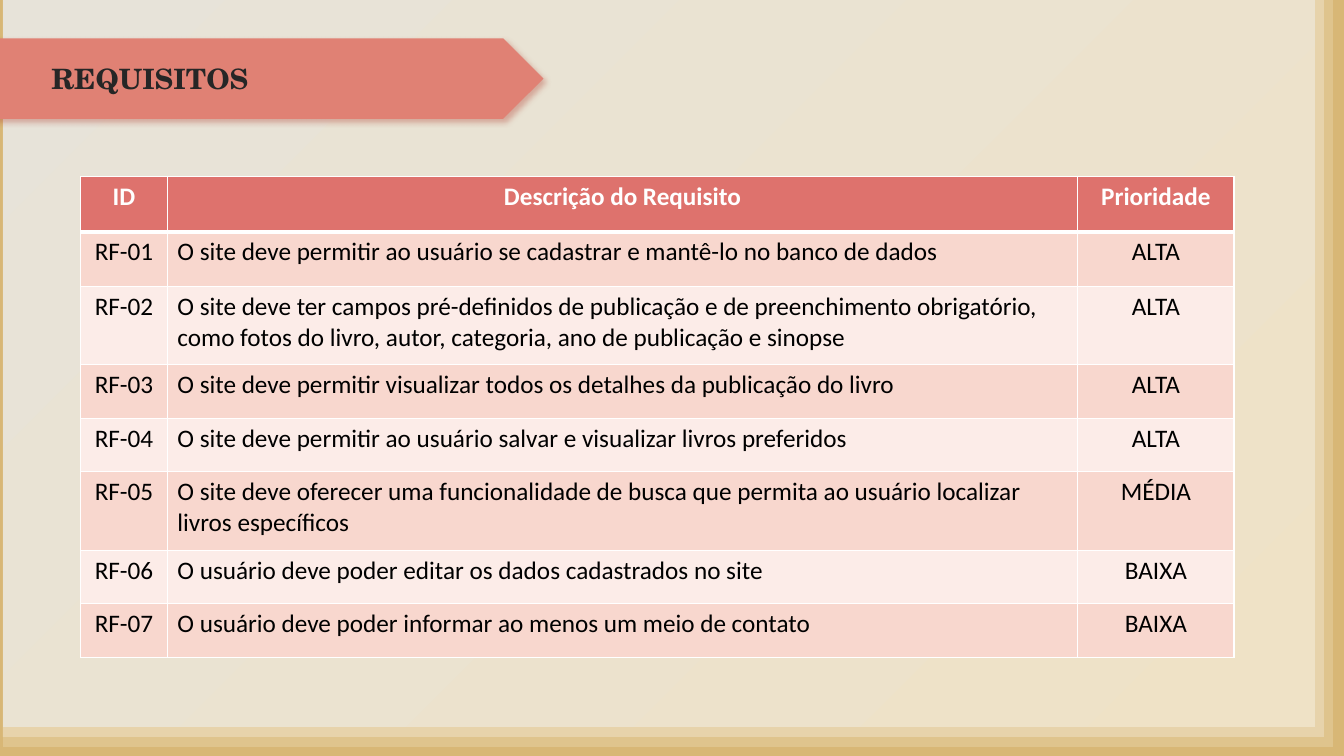
from lxml.etree import SubElement
from pptx import Presentation
from pptx.dml.color import RGBColor
from pptx.enum.shapes import MSO_SHAPE as Preset
from pptx.enum.text import MSO_ANCHOR as Anchor, PP_ALIGN as Align
from pptx.oxml.ns import qn
from pptx.util import Inches, Pt

BACKDROP = RGBColor(0x15, 0x07, 0x05)
FRAMES = [
    (0, 13.33, 7.56, RGBColor(0xD8, 0xB7, 0x76)),
    (0.03, 13.19, 7.46, RGBColor(0xDF, 0xC4, 0x8D)),
    (0.03, 13.1, 7.36, RGBColor(0xE7, 0xD3, 0xAB)),
]
PAPER = [RGBColor(0xE7, 0xE3, 0xD9), RGBColor(0xEF, 0xE2, 0xC6)]
BANNER = RGBColor(0xE0, 0x81, 0x74)
BANNER_SHADOW = RGBColor(0xB6, 0x4F, 0x41)
TITLE = RGBColor(0x26, 0x26, 0x26)
HEADER = RGBColor(0xDE, 0x72, 0x6D)
BANDS = [RGBColor(0xFC, 0xEC, 0xE8), RGBColor(0xF8, 0xD7, 0xCE)]
WHITE = RGBColor(0xFF, 0xFF, 0xFF)
BLACK = RGBColor(0, 0, 0)

COLUMN_WIDTHS = [0.86, 9.03, 1.55]
ROW_HEIGHTS = [0.55, 0.54, 0.78, 0.53, 0.53, 0.78, 0.53, 0.53]
HEADINGS = ("ID", "Descrição do Requisito", "Prioridade")
REQUIREMENTS = [
    ("O site deve permitir ao usuário se cadastrar e mantê-lo no banco de dados", "ALTA"),
    ("O site deve ter campos pré-definidos de publicação e de preenchimento obrigatório, "
     "como fotos do livro, autor, categoria, ano de publicação e sinopse", "ALTA"),
    ("O site deve permitir visualizar todos os detalhes da publicação do livro", "ALTA"),
    ("O site deve permitir ao usuário salvar e visualizar livros preferidos", "ALTA"),
    ("O site deve oferecer uma funcionalidade de busca que permita ao usuário localizar "
     "livros específicos", "MÉDIA"),
    ("O usuário deve poder editar os dados cadastrados no site", "BAIXA"),
    ("O usuário deve poder informar ao menos um meio de contato", "BAIXA"),
]


def set_attributes(target, values):
    for name, value in values.items():
        setattr(target, name, value)


def write_text(frame, text, alignment, color, font_format):
    frame.text = text
    paragraph = frame.paragraphs[0]
    paragraph.alignment = alignment
    set_attributes(paragraph.runs[0].font, font_format)
    paragraph.runs[0].font.color.rgb = color


def add_panel(slide, preset, left, top, width, height):
    shape = slide.shapes.add_shape(
        preset, Inches(left), Inches(top), Inches(width), Inches(height))
    shape.shadow.inherit = False
    shape.line.fill.background()
    return shape


def add_shadow(shape, color):
    effects = shape._element.spPr.find(qn("a:effectLst"))
    shadow = SubElement(effects, qn("a:outerShdw"), blurRad=str(Pt(4)),
                        dist=str(Pt(3)), dir="2700000", algn="tl", rotWithShape="0")
    tint = SubElement(shadow, qn("a:srgbClr"), val=str(color))
    SubElement(tint, qn("a:alpha"), val="40000")


def add_background(slide, top):
    fill = slide.background.fill
    fill.solid()
    fill.fore_color.rgb = BACKDROP
    for left, width, height, color in FRAMES:
        frame = add_panel(slide, Preset.RECTANGLE, left, top, width, height)
        frame.fill.solid()
        frame.fill.fore_color.rgb = color
    paper = add_panel(slide, Preset.RECTANGLE, 0.03, top, 13.01, 7.26)
    paper.fill.gradient()
    paper.fill.gradient_angle = 315
    for stop, color in zip(paper.fill.gradient_stops, PAPER):
        stop.color.rgb = color


def add_title_banner(slide, left, top, width, height):
    banner = add_panel(slide, Preset.PENTAGON, left, top, width, height)
    banner.fill.solid()
    banner.fill.fore_color.rgb = BANNER
    add_shadow(banner, BANNER_SHADOW)
    title = slide.shapes.title
    set_attributes(title, {
        "left": Inches(left + 0.5), "top": Inches(top),
        "width": Inches(width - 1), "height": Inches(height)})
    banner._element.addnext(title._element)
    write_text(title.text_frame, "REQUISITOS", Align.LEFT, TITLE,
               {"name": "TeX Gyre Schola", "size": Pt(20), "bold": True})
    set_attributes(title.text_frame, {"vertical_anchor": Anchor.MIDDLE, "word_wrap": True})


def add_borders(cell, widths):
    properties = cell._tc.get_or_add_tcPr()
    for side, width in zip("LRTB", widths):
        line = SubElement(properties, qn(f"a:ln{side}"), w=str(Pt(width)))
        fill = SubElement(line, qn("a:solidFill"))
        SubElement(fill, qn("a:srgbClr"), val=str(WHITE))


def add_requirements_table(slide, left, top, width, height):
    rows = [HEADINGS] + [
        (f"RF-{number:02d}", description, priority)
        for number, (description, priority) in enumerate(REQUIREMENTS, 1)]
    table = slide.shapes.add_table(
        len(rows), len(HEADINGS), Inches(left), Inches(top),
        Inches(width), Inches(height)).table
    for column, column_width in zip(table.columns, COLUMN_WIDTHS):
        column.width = Inches(column_width)
    for row, row_height in zip(table.rows, ROW_HEIGHTS):
        row.height = Inches(row_height)
    for row_index, texts in enumerate(rows):
        is_header = row_index == 0
        for column_index, text in enumerate(texts):
            cell = table.cell(row_index, column_index)
            add_borders(cell, (1, 1, 3 if row_index == 1 else 1, 3 if is_header else 1))
            cell.fill.solid()
            cell.fill.fore_color.rgb = HEADER if is_header else BANDS[row_index % 2]
            is_description = column_index == 1 and not is_header
            write_text(cell.text_frame, text,
                       Align.LEFT if is_description else Align.CENTER,
                       WHITE if is_header else BLACK,
                       {"name": "Calibri", "size": Pt(18), "bold": is_header})


def main():
    presentation = Presentation()
    set_attributes(presentation, {"slide_width": Inches(13.33), "slide_height": Inches(7.5)})
    slide = presentation.slides.add_slide(presentation.slide_layouts[5])
    add_background(slide, -0.05)
    add_title_banner(slide, -0.09, 0.38, 5.48, 0.8)
    add_requirements_table(slide, 0.8, 1.75, sum(COLUMN_WIDTHS), sum(ROW_HEIGHTS))
    presentation.save("out.pptx")


if __name__ == "__main__":
    main()
